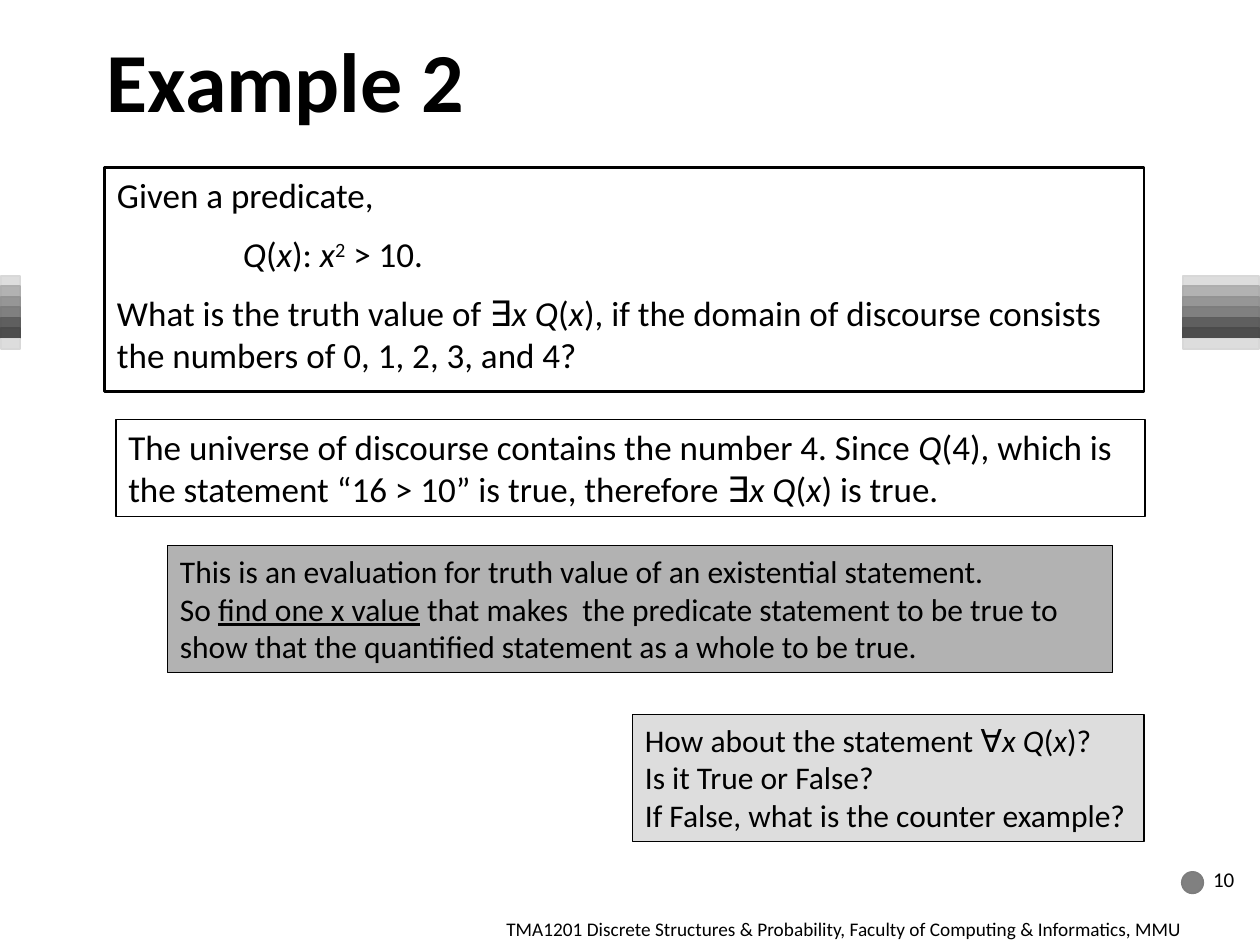
import pptx
import pptx.dml.color
import pptx.enum.shapes
import pptx.enum.text
import pptx.util

Inches = pptx.util.Inches
Pt = pptx.util.Pt
ShapeType = pptx.enum.shapes.MSO_SHAPE
Anchor = pptx.enum.text.MSO_ANCHOR

COLORS = {
    "text": "000000",
    "pale": "DDDDDD",
    "light": "B2B2B2",
    "silver": "969696",
    "medium": "808080",
    "dark": "5F5F5F",
    "darkest": "4D4D4D",
}
STRIPES = ["pale", "light", "silver", "medium", "dark", "darkest", "pale"]

# Quantified statement, shared by several boxes
Q_OF_X = [("x Q", "italic"), "(", ("x", "italic"), ")"]


def rgb(name):
    return pptx.dml.color.RGBColor.from_string(COLORS[name])


def edge_rgb(name):
    """A slightly darker tone of the fill, for the outline of ornaments."""
    return pptx.dml.color.RGBColor(*(int(part * 0.98) for part in rgb(name)))


def write_text(shape, paragraphs, size=20, bold=False, anchor=Anchor.TOP,
               wrap=True, gap=0, indents=()):
    """Each paragraph is a list of strings or (string, style) pairs."""
    frame = shape.text_frame
    frame.word_wrap = wrap
    frame.vertical_anchor = anchor
    for index, parts in enumerate(paragraphs):
        paragraph = frame.paragraphs[0] if index == 0 else frame.add_paragraph()
        paragraph.alignment = pptx.enum.text.PP_ALIGN.LEFT
        if index:
            paragraph.space_before = Pt(gap)
        if index in indents:
            paragraph._p.get_or_add_pPr().set("marL", str(Inches(1)))
        for part in parts:
            text, style = (part, "") if isinstance(part, str) else part
            run = paragraph.add_run()
            run.text = text
            font = run.font
            font.name = "Lato" if style == "symbol" else "Calibri"
            font.size = Pt(size)
            font.bold = bold
            font.italic = style == "italic"
            font.underline = style == "underline"
            font.color.rgb = rgb("text")
            if style == "superscript":
                font._element.set("baseline", "30000")


def add_ornament(shapes, kind, box, color):
    shape = shapes.add_shape(kind, *map(Inches, box))
    shape.shadow.inherit = False
    shape.fill.solid()
    shape.fill.fore_color.rgb = rgb(color)
    shape.line.color.rgb = edge_rgb(color)
    shape.line.width = Pt(1)


def add_stripes(slide, box):
    left, top, width, height = box
    group = slide.shapes.add_group_shape()
    step = height / len(STRIPES)
    for index, color in enumerate(STRIPES):
        add_ornament(group.shapes, ShapeType.RECTANGLE,
                     (left, top + index * step, width, step), color)


def add_label(slide, box, text, **text_format):
    label = slide.shapes.add_textbox(*map(Inches, box))
    write_text(label, [[text]], **text_format)


def add_panel(slide, box, paragraphs, fill=None, line_width=0.75, **text_format):
    panel = slide.shapes.add_shape(ShapeType.RECTANGLE, *map(Inches, box))
    panel.shadow.inherit = False
    if fill:
        panel.fill.solid()
        panel.fill.fore_color.rgb = rgb(fill)
    else:
        panel.fill.background()
    panel.line.color.rgb = rgb("text")
    panel.line.width = Pt(line_width)
    write_text(panel, paragraphs, **text_format)


def add_footer(slide, box):
    left, top, width, height = box
    add_ornament(slide.shapes, ShapeType.OVAL,
                 (left, top + 0.19, 0.17, 0.17), "medium")
    add_label(slide, (left + 0.15, top, 0.47, 0.5), "10",
              size=12, anchor=Anchor.MIDDLE)
    add_label(slide, (3.92, top + height - 0.27, 6.08, 0.27),
              "TMA1201 Discrete Structures & Probability, "
              "Faculty of Computing & Informatics, MMU", size=11)


def build_slide(slide):
    # Side ornaments
    add_stripes(slide, (0.01, 2.19, 0.15, 0.58))
    add_stripes(slide, (9.39, 2.19, 0.6, 0.58))

    # Title and footer
    add_label(slide, (0.75, 0, 5.79, 1.25), "Example 2",
              size=48, bold=True, anchor=Anchor.MIDDLE)
    add_footer(slide, (9.38, 6.73, 0.62, 0.77))

    # Question
    add_panel(slide, (0.83, 1.33, 8.25, 1.78), [
        ["Given a predicate,"],
        [("Q", "italic"), "(", ("x", "italic"), "): ", ("x", "italic"),
         ("2", "superscript"), " > 10."],
        ["What is the truth value of ∃", *Q_OF_X,
         ", if the domain of discourse consists the numbers of "
         "0, 1, 2, 3, and 4?"],
    ], line_width=1.5, gap=9.75, indents=(1,))

    # Answer
    add_panel(slide, (0.92, 3.33, 8.17, 0.77), [
        ["The universe of discourse contains the number 4. Since ",
         ("Q", "italic"),
         "(4), which is the statement “16 > 10” is true, therefore ",
         ("∃", "symbol"), *Q_OF_X, " is true."],
    ], line_width=1)

    # Explanation
    add_panel(slide, (1.33, 4.33, 7.5, 1.01), [
        ["This is an evaluation for truth value of an existential statement."],
        ["So ", ("find one x value", "underline"),
         " that makes  the predicate statement to be true to show that "
         "the quantified statement as a whole to be true."],
    ], fill="light", size=18)

    # Follow-up question
    add_panel(slide, (5.02, 5.67, 4.06, 1.01), [
        ["How about the statement ", ("∀", "symbol"), *Q_OF_X, "?"],
        ["Is it True or False?"],
        ["If False, what is the counter example?"],
    ], fill="pale", size=18, wrap=False)


def main():
    presentation = pptx.Presentation()
    presentation.slide_width = Inches(10)
    presentation.slide_height = Inches(7.5)
    build_slide(presentation.slides.add_slide(presentation.slide_layouts[6]))
    presentation.save("out.pptx")


if __name__ == "__main__":
    main()
